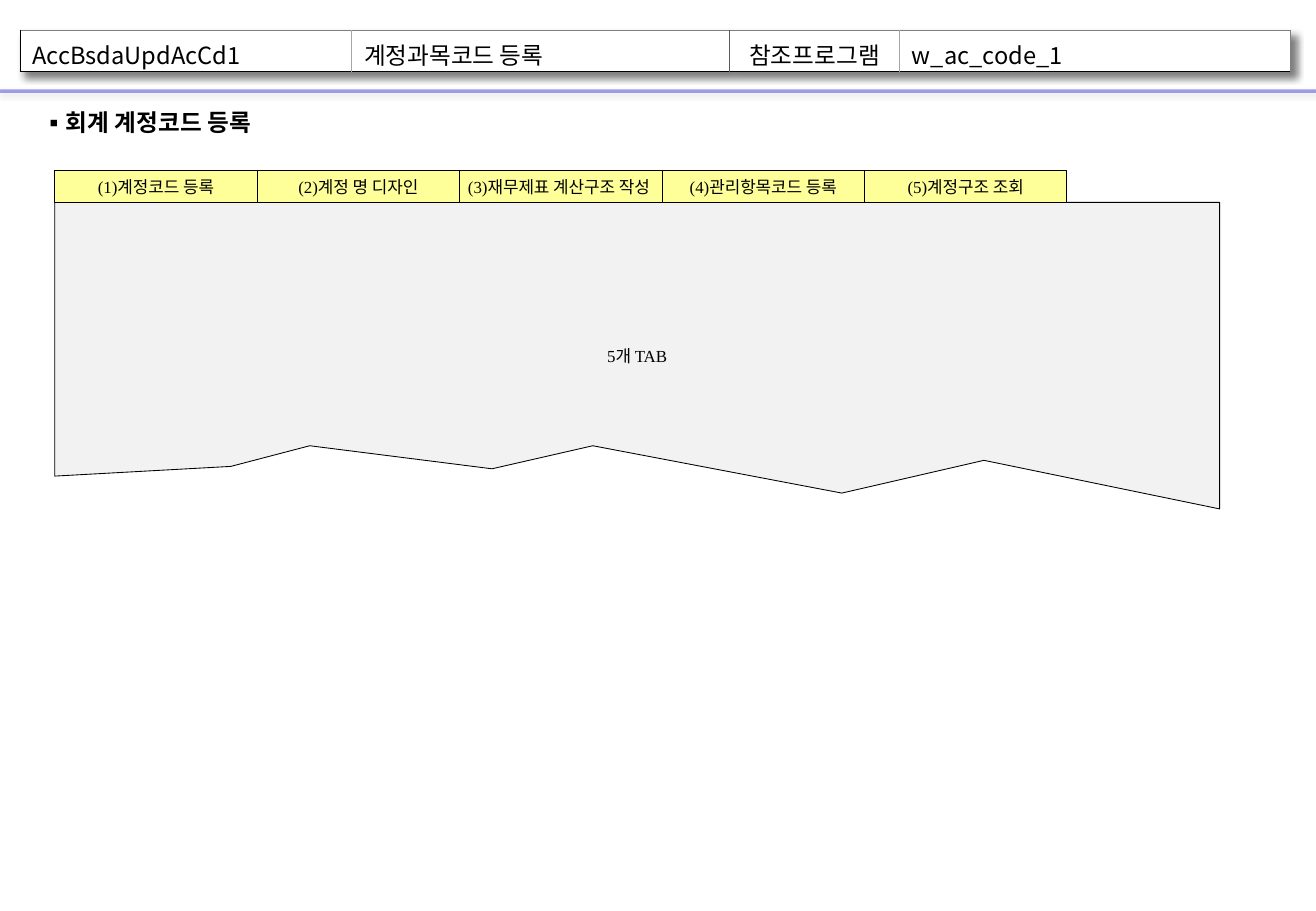
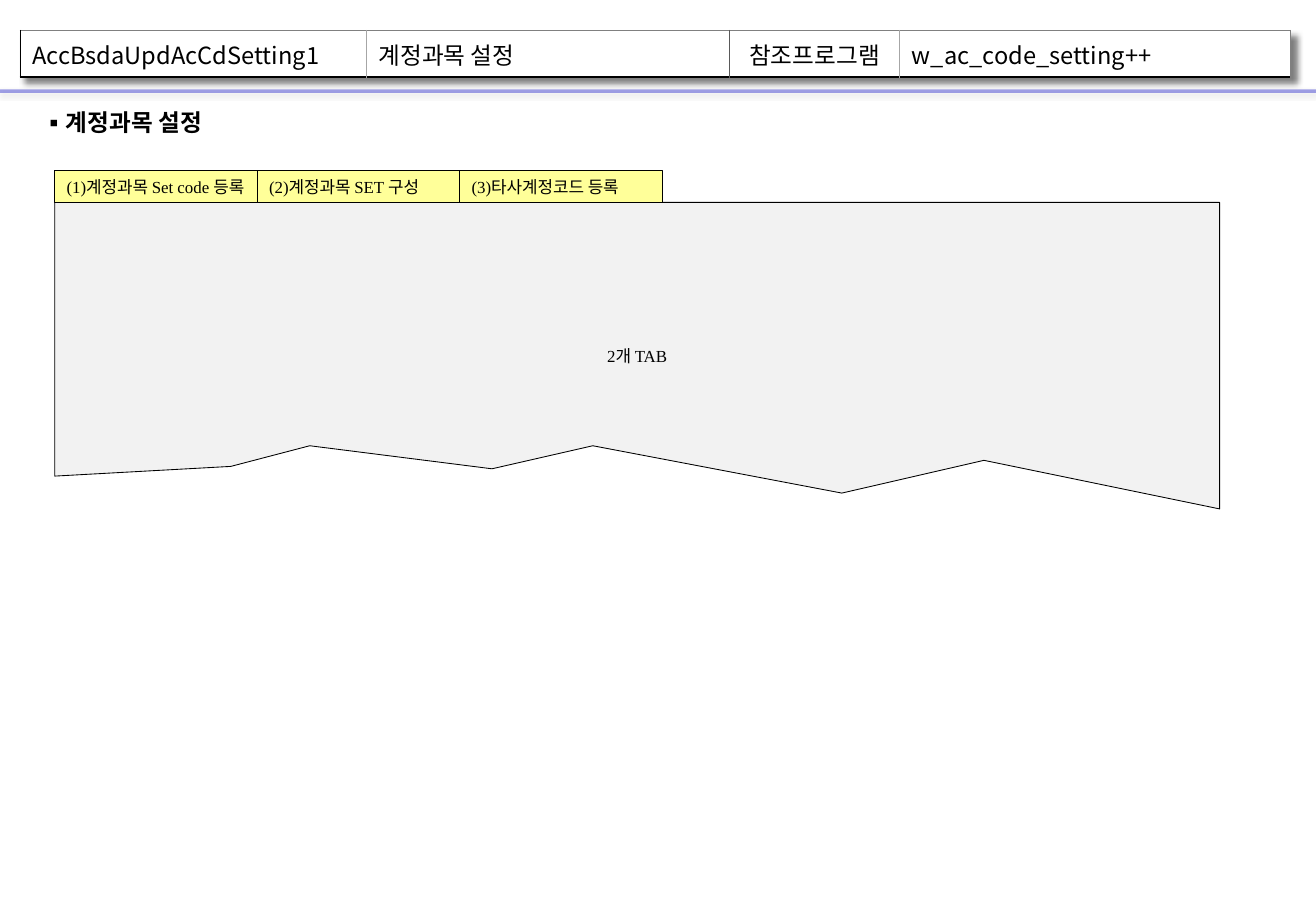
from lxml.etree import SubElement
from pptx import Presentation
from pptx.dml.color import RGBColor
from pptx.enum.shapes import MSO_CONNECTOR as Connector, MSO_SHAPE as Preset
from pptx.enum.text import MSO_ANCHOR as Anchor, MSO_AUTO_SIZE as AutoSize, PP_ALIGN as Align
from pptx.oxml import parse_xml
from pptx.oxml.ns import nsdecls, qn
from pptx.util import Emu, Inches, Pt

COLUMNS, ROWS = 65, 45
HEADER_WIDTH, REFERENCE_WIDTHS = 62.76, (8.4, 19.32)
TAB_WIDTH, TAB_HEIGHT, TAB_LEFT, TAB_TOP = 10, 1.6, 2.7, 8.4
PANEL_OUTLINE = [(2.7, 23.52), (2.7, 10), (60.24, 10), (60.24, 25.14), (48.6, 22.74),
                 (41.58, 24.36), (29.28, 22.02), (24.3, 23.16), (15.3, 22.02), (11.4, 23.04)]
BLACK, WHITE, RULE, PANEL, TAB = "000000", "FFFFFF", "3333CC", "F2F2F2", "FFFF99"
OUTER, INNER, DIVIDER = ("808080", 0.5), ("A6A6A6", 0.5), ("595959", 0.5)
EDGE = (BLACK, 1)
HEADER_SIDES = [(EDGE, INNER), (INNER, DIVIDER), (DIVIDER, INNER), (INNER, OUTER)]
SERIF, SANS = "Times New Roman", "Noto Sans CJK KR"
LABEL_FONT = {"name": SERIF, "size": Pt(10), "bold": False}
TITLE_FONT = {"name": SERIF, "size": Pt(14), "bold": True}
HEADER_FONT = {"name": SANS, "size": Pt(14), "bold": False}


def color(value):
    """Turn a hex string into a colour."""
    return RGBColor.from_string(value)


def assign(target, values):
    """Set each named attribute of the target."""
    for name, value in values.items():
        setattr(target, name, value)


def effects(blur, distance, angle, opacity):
    """Make an effect list with one black outer shadow."""
    return parse_xml(
        f'<a:effectLst {nsdecls("a")}><a:outerShdw blurRad="{Pt(blur)}" dist="{Pt(distance)}" '
        f'dir="{angle * 60000}" algn="tl" rotWithShape="0"><a:srgbClr val="{BLACK}">'
        f'<a:alpha val="{opacity * 1000}"/></a:srgbClr></a:outerShdw></a:effectLst>')


class Sheet:
    """Holds the presentation, its grid and the current slide."""

    def __init__(self):
        """Start an empty presentation."""
        self.presentation = Presentation()
        assign(self.presentation, {"slide_width": Inches(10.83), "slide_height": Inches(7.5)})
        self.slide = None

    def x(self, columns):
        """Convert grid columns to a length."""
        return Emu(round(self.presentation.slide_width * columns / COLUMNS))

    def y(self, rows):
        """Convert grid rows to a length."""
        return Emu(round(self.presentation.slide_height * rows / ROWS))

    def box(self, left, top, width, height):
        """Convert a grid box to lengths."""
        return self.x(left), self.y(top), self.x(width), self.y(height)

    def new_slide(self):
        """Add a blank slide with the shared rule."""
        self.slide = self.presentation.slides.add_slide(self.presentation.slide_layouts[6])
        self.rule()

    def rule(self):
        """Draw the translucent rule under the header."""
        line = self.slide.shapes.add_connector(
            Connector.STRAIGHT, 0, self.y(4.5), self.x(COLUMNS), self.y(4.5))
        line.line.width = Pt(2)
        line.line.color.rgb = color(RULE)
        properties = line._element.spPr
        SubElement(next(properties.iter(qn("a:srgbClr"))), qn("a:alpha"), val="46000")
        properties.append(effects(3.1, 1.6, 90, 38))

    def add_text(self, frame, text, font, align):
        """Fill the first paragraph, with Latin and Korean fonts."""
        paragraph = frame.paragraphs[0]
        paragraph.alignment = align
        run = paragraph.add_run()
        run.text = text
        assign(run.font, font)
        run.font.color.rgb = color(BLACK)
        SubElement(run._r.get_or_add_rPr(), qn("a:ea"), typeface=SANS)
        return paragraph

    def title(self, text, width):
        """Add the bulleted section title."""
        frame = self.slide.shapes.add_textbox(*self.box(1.5, 5.05, width, 2.05)).text_frame
        assign(frame, {"word_wrap": False, "auto_size": AutoSize.SHAPE_TO_FIT_TEXT})
        paragraph = self.add_text(frame, text, TITLE_FONT, Align.LEFT)
        properties = paragraph._p.get_or_add_pPr()
        indent = Inches(0.19)
        properties.set("marL", str(indent))
        properties.set("indent", str(-indent))
        SubElement(properties, qn("a:buFont"), typeface=SANS)
        SubElement(properties, qn("a:buChar"), char="▪")

    def header(self, texts, first_widths, bottom_margin):
        """Add the program header table with its shadow."""
        frame = self.slide.shapes.add_table(1, 4, *self.box(1, 1.5, HEADER_WIDTH, 2.04))
        table = frame.table
        assign(table, {"first_row": False, "horz_banding": False})
        table._tbl.tblPr.insert(0, effects(4, 4, 45, 50))
        for index, width in enumerate((*first_widths, *REFERENCE_WIDTHS)):
            table.columns[index].width = self.x(width)
            cell = table.cell(0, index)
            self.borders(cell, *HEADER_SIDES[index])
            cell.fill.solid()
            cell.fill.fore_color.rgb = color(WHITE)
            assign(cell, {"vertical_anchor": Anchor.MIDDLE, "margin_bottom": Inches(bottom_margin)})
            align = Align.CENTER if index == 2 else Align.LEFT
            self.add_text(cell.text_frame, texts[index], HEADER_FONT, align)

    def borders(self, cell, left, right):
        """Set the four borders of a header cell."""
        properties = cell._tc.get_or_add_tcPr()
        sides = {"a:lnL": left, "a:lnR": right, "a:lnT": OUTER, "a:lnB": EDGE}
        for tag, (value, width) in sides.items():
            line = SubElement(properties, qn(tag), w=str(Pt(width)))
            SubElement(SubElement(line, qn("a:solidFill")), qn("a:srgbClr"), val=value)

    def finish(self, shape, fill, text, align):
        """Give a shape its fill, thin outline and label."""
        shape.shadow.inherit = False
        shape.fill.solid()
        shape.fill.fore_color.rgb = color(fill)
        shape.line.color.rgb = color(BLACK)
        shape.line.width = Pt(0.5)
        assign(shape.text_frame, {"word_wrap": False, "vertical_anchor": Anchor.MIDDLE})
        self.add_text(shape.text_frame, text, LABEL_FONT, align)

    def panel(self, text):
        """Draw the panel with a torn lower edge."""
        points = [(self.x(column), self.y(row)) for column, row in PANEL_OUTLINE]
        builder = self.slide.shapes.build_freeform(*points[0])
        builder.add_line_segments(points[1:], close=True)
        self.finish(builder.convert_to_shape(), PANEL, text, Align.CENTER)

    def tabs(self, labels, align):
        """Draw a row of equal tabs above the panel."""
        for index, label in enumerate(labels):
            place = self.box(TAB_LEFT + index * TAB_WIDTH, TAB_TOP, TAB_WIDTH, TAB_HEIGHT)
            tab = self.slide.shapes.add_shape(Preset.RECTANGLE, *place)
            self.finish(tab, TAB, label, align)


SCREENS = [
    {"header": (["AccBsdaUpdAcCd1", "계정과목코드 등록", "참조프로그램", "w_ac_code_1"],
                (16.38, 18.66), 0),
     "title": ("회계 계정코드 등록", 12.4),
     "panel": "5개 TAB",
     "tabs": (["(1)계정코드 등록", "(2)계정 명 디자인", "(3)재무제표 계산구조 작성 ",
               "(4)관리항목코드 등록", "(5)계정구조 조회"], Align.CENTER)},
    {"header": (["AccBsdaUpdAcCdSetting1", "계정과목 설정", "참조프로그램", "w_ac_code_setting++"],
                (17.1, 17.94), 0.05),
     "title": ("계정과목 설정", 10),
     "panel": "2개 TAB",
     "tabs": (["(1)계정과목 Set code 등록", "(2)계정과목 SET 구성", "(3)타사계정코드 등록"],
              Align.LEFT)},
]

sheet = Sheet()
for screen in SCREENS:
    sheet.new_slide()
    sheet.header(*screen["header"])
    sheet.title(*screen["title"])
    sheet.panel(screen["panel"])
    sheet.tabs(*screen["tabs"])
sheet.presentation.save("out.pptx")
